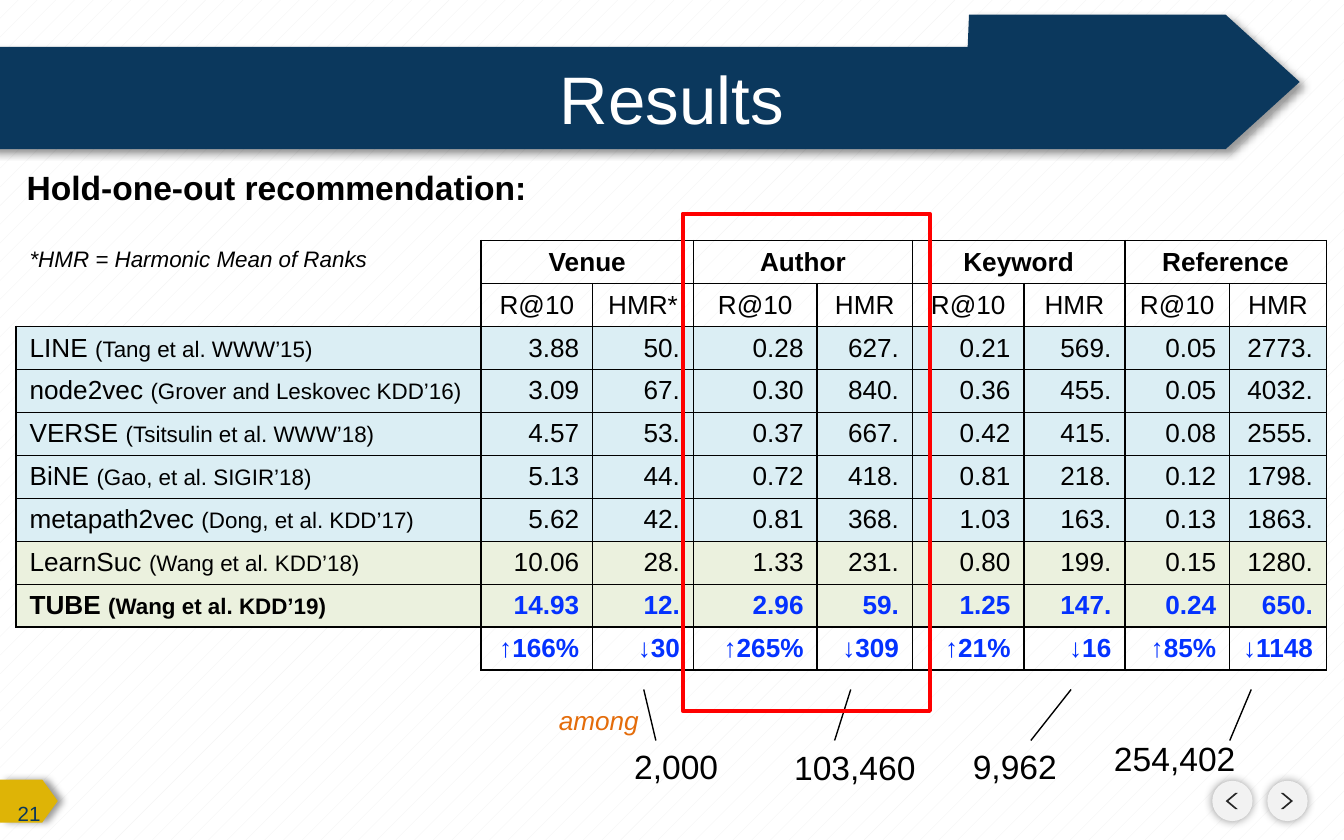
from lxml import etree
from pptx import Presentation
from pptx import util as u
from pptx.dml.color import RGBColor
from pptx.enum import dml, shapes, text
from pptx.oxml.ns import qn

# Content
TITLE, PAGE_NUMBER = "Results", "21"
HEADING = "Hold-one-out recommendation:"
FOOTNOTE = "*HMR = Harmonic Mean of Ranks"
GROUPS = ["Venue", "Author", "Keyword", "Reference"]
MEASURES = ["R@10", "HMR*"] + ["R@10", "HMR"] * 3
METHODS = [
    ("LINE ", "(Tang et al. WWW’15)", "3.88 50. 0.28 627. 0.21 569. 0.05 2773."),
    ("node2vec ", "(Grover and Leskovec KDD’16)", "3.09 67. 0.30 840. 0.36 455. 0.05 4032."),
    ("VERSE ", "(Tsitsulin et al. WWW’18)", "4.57 53. 0.37 667. 0.42 415. 0.08 2555."),
    ("BiNE ", "(Gao, et al. SIGIR’18)", "5.13 44. 0.72 418. 0.81 218. 0.12 1798."),
    ("metapath2vec ", "(Dong, et al. KDD’17)", "5.62 42. 0.81 368. 1.03 163. 0.13 1863."),
    ("LearnSuc ", "(Wang et al. KDD’18)", "10.06 28. 1.33 231. 0.80 199. 0.15 1280."),
    ("TUBE ", "(Wang et al. KDD’19)", "14.93 12. 2.96 59. 1.25 147. 0.24 650."),
]
GAINS = "↑166% ↓30 ↑265% ↓309 ↑21% ↓16 ↑85% ↓1148"
# Candidate count, box (left, top, width), leader line (from x, to x)
CANDIDATES = [
    ("2,000", (4.62, 5.50, 0.83), (4.79, 4.88)),
    ("103,460", (5.81, 5.51, 1.11), (6.33, 6.21)),
    ("254,402", (8.19, 5.44, 1.11), (9.31, 9.15)),
    ("9,962", (7.14, 5.50, 0.83), (7.97, 7.67)),
]

# Theme and layout
THEME = dict(font="Arial", navy="0B385D", gold="DEB406", pale="F2F2F2", dark="262626",
             black="000000", white="FFFFFF", red="FF0000", blue="0432FF", orange="E46C0A",
             baseline="DBEEF4", ours="EBF1DE",
             title=36, heading=18, body=14, small=12, number=11)
COLUMNS = [3.46, 0.83, 0.75, 0.92, 0.71, 0.83, 0.75, 0.78, 0.72]
ROW_HEIGHT = 0.32
LEADER_TOP, LEADER_BOTTOM = 5.13, 5.51
LEFT, CENTER, RIGHT = text.PP_ALIGN.LEFT, text.PP_ALIGN.CENTER, text.PP_ALIGN.RIGHT


def color(name):
    return RGBColor.from_string(THEME[name])


def inches(*values):
    return [u.Inches(value) for value in values]


def write(frame, *parts, align=LEFT, size="body", tint="black", bold=False, italic=False):
    """Write parts, each a string or a (string, size name) pair, as one paragraph."""
    para = frame.paragraphs[0]
    para.alignment = align
    for part in parts:
        words, part_size = part if isinstance(part, tuple) else (part, size)
        span = para.add_run()
        span.text = words
        span.font.name = THEME["font"]
        span.font.size = u.Pt(THEME[part_size])
        span.font.bold, span.font.italic = bold, italic
        span.font.color.rgb = color(tint)


def add_label(page, words, left, top, width, height=0.4, wrap=False, **style):
    box = page.shapes.add_textbox(*inches(left, top, width, height))
    box.text_frame.word_wrap = wrap
    box.text_frame.vertical_anchor = text.MSO_ANCHOR.MIDDLE
    write(box.text_frame, words, **style)


def paint(shape, fill, shadow=None):
    """Fill a shape; shadow is (blur pt, distance pt, direction degrees)."""
    shape.shadow.inherit = False
    shape.fill.solid()
    shape.fill.fore_color.rgb = color(fill)
    shape.line.fill.background()
    if shadow:
        blur, distance, angle = shadow
        effects = shape._element.spPr.find(qn("a:effectLst"))
        outer = etree.SubElement(effects, qn("a:outerShdw"), blurRad=str(u.Pt(blur)),
                                 dist=str(u.Pt(distance)), dir=str(angle * 60000))
        tone = etree.SubElement(outer, qn("a:srgbClr"), val=THEME["black"])
        etree.SubElement(tone, qn("a:alpha"), val="40000")


def add_preset(page, kind, area, fill, shadow=None, adjust=None):
    shape = page.shapes.add_shape(kind, *inches(*area))
    if adjust is not None:
        shape.adjustments[0] = adjust
    paint(shape, fill, shadow)
    return shape


def set_borders(cell, sides):
    properties = cell._tc.get_or_add_tcPr()
    for index, side in enumerate("LRTB"):
        line = etree.Element(qn("a:ln" + side), w=str(u.Pt(1)))
        if side in sides:
            solid = etree.SubElement(line, qn("a:solidFill"))
            etree.SubElement(solid, qn("a:srgbClr"), val=THEME["black"])
        else:
            etree.SubElement(line, qn("a:noFill"))
        properties.insert(index, line)


def add_frame(page):
    """Background, page arrows, number tab and title banner."""
    fill = page.background.fill
    fill.patterned()
    fill.pattern = dml.MSO_PATTERN.PERCENT_5
    fill.fore_color.rgb, fill.back_color.rgb = color("pale"), color("white")
    kinds = shapes.MSO_SHAPE
    for left, turn in ((9.43, 0), (9.02, 180)):
        add_preset(page, kinds.OVAL, (left, 5.81, 0.3, 0.3), "pale", (5, 0, 0))
        arrow = add_preset(page, kinds.CHEVRON, (left + 0.1, 5.9, 0.09, 0.12), "dark", adjust=0.79)
        arrow.rotation = turn
    add_preset(page, kinds.PENTAGON, (0, 5.8, 0.43, 0.32), "gold", (4, 3, 0), 0.36)
    add_label(page, PAGE_NUMBER, -0.1, 5.89, 0.5, 0.32, wrap=True,
              align=RIGHT, size="number", tint="navy")

    outline = [(7.2, 0.35), (7.21, 0.11), (9.12, 0.11), (9.67, 0.61), (9.12, 1.11), (-0.08, 1.11)]
    builder = page.shapes.build_freeform(*inches(-0.08, 0.35))
    builder.add_line_segments([inches(*point) for point in outline], close=True)
    banner = builder.convert_to_shape()
    paint(banner, "navy", (4, 3, 45))

    title = page.shapes.title
    title.left, title.top, title.width, title.height = inches(0.85, 0.38, 8.3, 0.7)
    title.text_frame.vertical_anchor = text.MSO_ANCHOR.MIDDLE
    write(title.text_frame, TITLE, align=CENTER, size="title", tint="white")
    banner._element.addnext(title._element)  # keep the title above its banner


def add_results(page):
    row_count = len(METHODS) + 3
    last = row_count - 1
    area = inches(0.12, 1.79, sum(COLUMNS), ROW_HEIGHT * row_count)
    table = page.shapes.add_table(row_count, len(COLUMNS), *area).table
    table.first_row = table.horz_banding = False
    for column, width in zip(table.columns, COLUMNS):
        column.width = u.Inches(width)

    # Cell fills, margins and borders
    for r, row in enumerate(table.rows):
        row.height = u.Inches(ROW_HEIGHT)
        for c, cell in enumerate(row.cells):
            cell.margin_bottom = u.Inches(0.04)
            if 2 <= r < last:
                cell.fill.solid()
                cell.fill.fore_color.rgb = color("ours" if r >= last - 2 else "baseline")
            else:
                cell.fill.background()
            corner = {0: "R", 1: "RB", last: "RT"}
            set_borders(cell, corner.get(r, "LRTB") if c == 0 else "LRTB")
            etree.SubElement(cell.text_frame.paragraphs[0]._p, qn("a:endParaRPr"),
                             sz=str(THEME["small"] * 100))

    # Headers
    table.cell(0, 0).merge(table.cell(1, 0))
    write(table.cell(0, 0).text_frame, FOOTNOTE, size="small", italic=True)
    for index, group in enumerate(GROUPS):
        first = 1 + 2 * index
        table.cell(0, first).merge(table.cell(0, first + 1))
        write(table.cell(0, first).text_frame, group, align=CENTER, bold=True)
    for c, measure in enumerate(MEASURES, 1):
        write(table.cell(1, c).text_frame, measure, align=CENTER)

    # Methods and the gains of the best one
    for r, (name, source, values) in enumerate(METHODS + [("", "", GAINS)], 2):
        best = r >= last - 1
        if name:
            write(table.cell(r, 0).text_frame, name, (source, "small"), bold=best)
        for c, value in enumerate(values.split(), 1):
            cell = table.cell(r, c)
            cell.margin_left = u.Inches(0.03)  # room for the longest value on one line
            write(cell.text_frame, value, align=RIGHT, bold=best,
                  tint="blue" if best else "black")


def add_notes_around_table(page):
    for count, place, (start, end) in CANDIDATES:
        add_label(page, count, *place, size="heading")
        leader = page.shapes.add_connector(shapes.MSO_CONNECTOR.STRAIGHT,
                                           *inches(start, LEADER_TOP, end, LEADER_BOTTOM))
        leader.line.color.rgb = color("black")
        leader.line.width = u.Pt(0.75)
        etree.SubElement(leader._element.spPr, qn("a:effectLst"))
    add_label(page, "among", 4.06, 5.19, 0.8, 0.34, tint="orange", italic=True)
    add_label(page, HEADING, 0.1, 1.19, 3.96, size="heading", bold=True)

    # Highlight on the author columns
    highlight = page.shapes.add_shape(shapes.MSO_SHAPE.RECTANGLE, *inches(5.08, 1.59, 1.84, 3.7))
    highlight.shadow.inherit = False
    highlight.fill.background()
    highlight.line.color.rgb = color("red")
    highlight.line.width = u.Pt(2)


def main():
    deck = Presentation()
    deck.slide_width, deck.slide_height = inches(10, 6.25)
    page = deck.slides.add_slide(deck.slide_layouts[5])
    add_frame(page)
    add_results(page)
    add_notes_around_table(page)
    deck.save("out.pptx")


if __name__ == "__main__":
    main()
